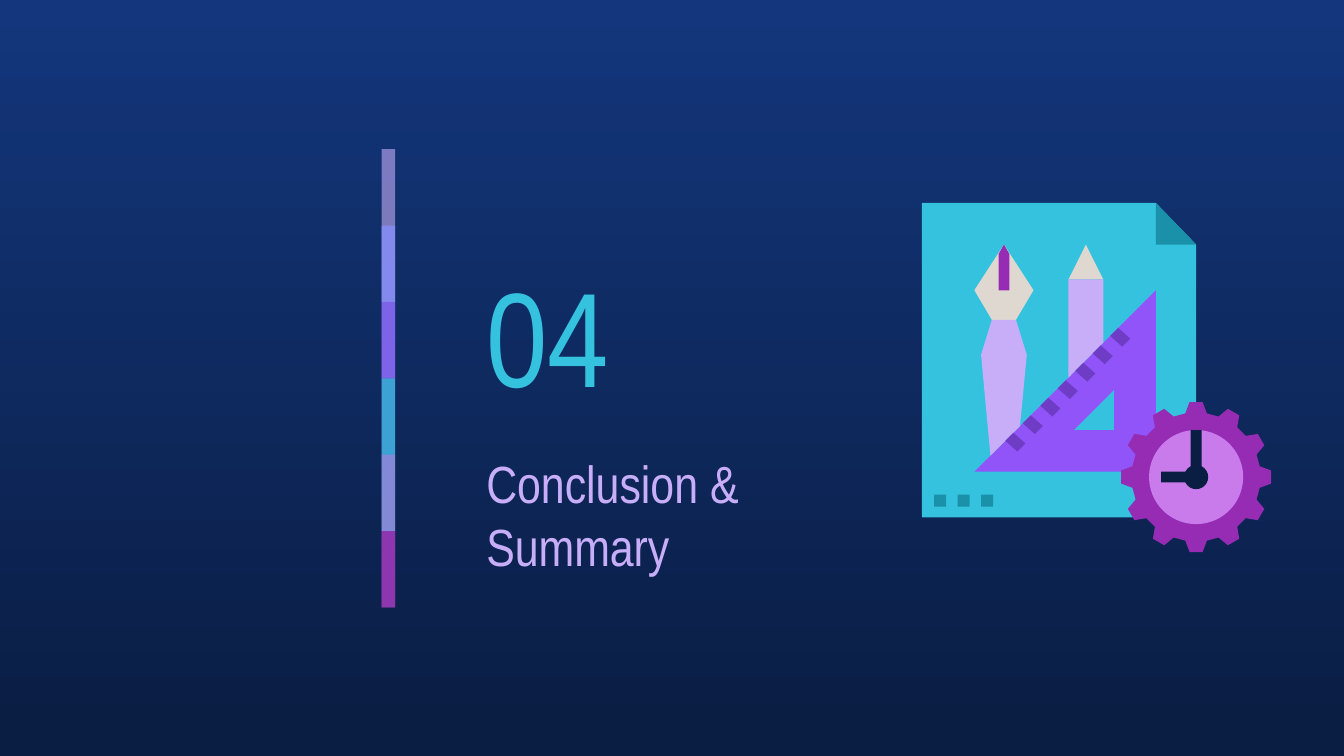
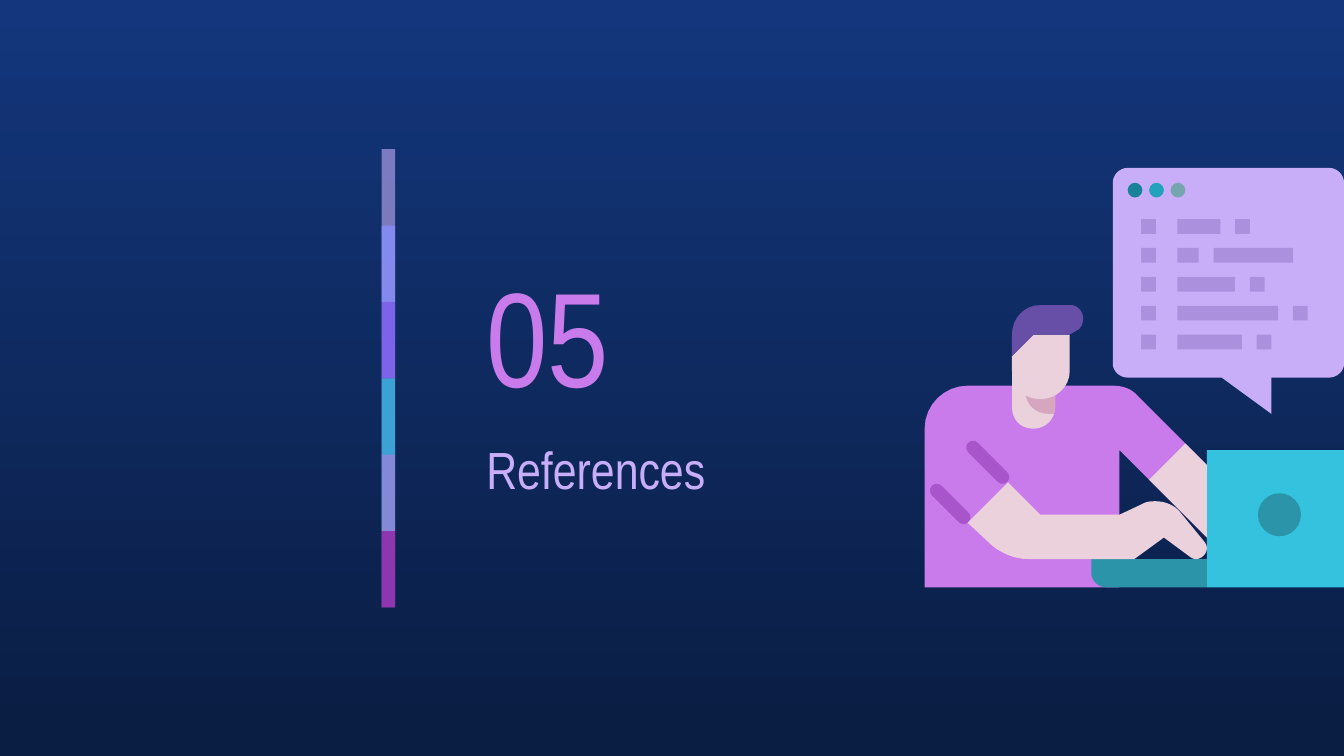
from collections import namedtuple
from math import cos, radians, sin

from lxml import etree
from pptx import Presentation
from pptx import util as u
from pptx.dml.color import RGBColor
from pptx.enum import shapes, text
from pptx.oxml import ns

NAVY_TOP = RGBColor(0x13, 0x36, 0x7C)
NAVY = RGBColor(0x0A, 0x1D, 0x42)
LILAC = RGBColor(0xC8, 0xAE, 0xF8)
PERIWINKLE = RGBColor(0x87, 0x8F, 0xFF)
VIOLET = RGBColor(0x91, 0x54, 0xF8)
CYAN = RGBColor(0x35, 0xC2, 0xDF)
ORCHID = RGBColor(0xCA, 0x7B, 0xEB)
PURPLE = RGBColor(0x97, 0x2C, 0xB4)
DARK_CYAN = RGBColor(0x1B, 0x91, 0xA9)
BONE = RGBColor(0xDE, 0xD8, 0xD0)
INDIGO = RGBColor(0x6F, 0x3C, 0xC6)
CREASE = RGBColor(0xA8, 0x55, 0xCB)
TEAL = RGBColor(0x2B, 0x94, 0xA9)
SKIN = RGBColor(0xEA, 0xD1, 0xDC)
SKIN_SHADE = RGBColor(0xD5, 0xA6, 0xBD)
CODE = RGBColor(0xAB, 0x90, 0xDE)
HAIR = RGBColor(0x67, 0x4E, 0xA7)
BUTTONS = (RGBColor(0x19, 0x82, 0x98), RGBColor(0x22, 0xA2, 0xBC),
           RGBColor(0x76, 0xA5, 0xAF))

FONT = "Arial Narrow"
RECTANGLE = shapes.MSO_SHAPE.RECTANGLE
OVAL = shapes.MSO_SHAPE.OVAL
CURVE_STEPS = 8

Box = namedtuple("Box", "left top width height")
STRIPE_BOX = Box(2.84, 1.11, 0.1, 3.41)
NUMBER_BOX = Box(3.52, 1.81, 1.75, 1.35)
TOOLS_BOX = Box(6.86, 1.51, 2.6, 2.6)
CODER_BOX = Box(6.88, 1.25, 3.12, 3.12)

# Stripe segments from top to bottom: colour and opacity in percent
STRIPE = ((LILAC, 59), (PERIWINKLE, 74), (VIOLET, 53),
          (CYAN, 76), (ORCHID, 56), (PURPLE, 74))


def paint(shape, color, opacity=100):
    shape.shadow.inherit = False
    shape.line.fill.background()
    shape.fill.solid()
    shape.fill.fore_color.rgb = color
    if opacity < 100:
        value = shape.fill._xPr.find(".//" + ns.qn("a:srgbClr"))
        etree.SubElement(value, ns.qn("a:alpha")).set("val", str(opacity * 1000))


def flatten(steps):
    """Turn points (x, y) and cubic curves (x1, y1, x2, y2, x, y) into points."""
    points = []
    for step in steps:
        if len(step) == 2:
            points.append(step)
            continue
        ax, ay = points[-1]
        bx, by, cx, cy, dx, dy = step
        for index in range(1, CURVE_STEPS + 1):
            t = index / CURVE_STEPS
            s = 1 - t
            weights = (s ** 3, 3 * s * s * t, 3 * s * t * t, t ** 3)
            points.append(tuple(sum(w * v for w, v in zip(weights, values))
                                for values in ((ax, bx, cx, dx), (ay, by, cy, dy))))
    return points


class Drawing:
    """A group whose parts are placed relative to a box."""

    def __init__(self, page, box):
        self.box = box
        self.shapes = page.shapes.add_group_shape().shapes

    def preset(self, kind, color, left, top, width, height, opacity=100):
        shape = self.shapes.add_shape(
            kind, u.Inches(self.box.left + left), u.Inches(self.box.top + top),
            u.Inches(width), u.Inches(height))
        paint(shape, color, opacity)

    def disc(self, color, x, y, radius):
        self.preset(OVAL, color, x - radius, y - radius, 2 * radius, 2 * radius)

    def outline(self, color, *contours):
        builder = None
        for contour in contours:
            first, *rest = [(u.Inches(self.box.left + x), u.Inches(self.box.top + y))
                            for x, y in flatten(contour)]
            if builder is None:
                builder = self.shapes.build_freeform(*first, scale=1.0)
            else:
                builder.move_to(*first)
            builder.add_line_segments(rest, close=True)
        paint(builder.convert_to_shape(), color)


def polar(x, y, radius, degrees):
    return x + radius * cos(radians(degrees)), y + radius * sin(radians(degrees))


def add_stripe(page, box):
    drawing = Drawing(page, box)
    pitch = box.height / len(STRIPE)
    for index, (color, opacity) in enumerate(STRIPE):
        # Each segment runs on beneath the next one; the last stops at the end
        height = min(2 * pitch, box.height - index * pitch)
        drawing.preset(RECTANGLE, color, 0, index * pitch, box.width, height, opacity)


def add_title(page, box, wording, size, color):
    title = page.shapes.add_textbox(*(u.Inches(length) for length in box))
    frame = title.text_frame
    frame.word_wrap = True
    frame.vertical_anchor = text.MSO_ANCHOR.MIDDLE
    frame.margin_left = frame.margin_right = u.Inches(0.1)
    frame.margin_top = frame.margin_bottom = u.Inches(0.1)
    frame.text = wording
    font = frame.paragraphs[0].runs[0].font
    font.name = FONT
    font.size = u.Pt(size)
    font.color.rgb = color


def add_section(deck, number, number_color, heading, heading_height):
    page = deck.slides.add_slide(deck.slide_layouts[6])
    fill = page.background.fill
    fill.gradient()
    fill.gradient_angle = 270
    for stop, color in zip(fill.gradient_stops, (NAVY_TOP, NAVY)):
        stop.color.rgb = color
    add_stripe(page, STRIPE_BOX)
    add_title(page, NUMBER_BOX, number, 72, number_color)
    add_title(page, Box(3.52, 3.15, 2.87, heading_height), heading, 28, LILAC)
    return page


def draw_tools(page, box):
    drawing = Drawing(page, box)
    # Sheet with folded corner
    drawing.outline(CYAN, [(0, 0), (0, 2.34), (2.04, 2.34), (2.04, 0.31), (1.74, 0)])
    drawing.outline(DARK_CYAN, [(1.74, 0), (1.74, 0.31), (2.04, 0.31)])
    # Set square with its opening
    drawing.outline(VIOLET, [(1.43, 1.39), (1.43, 1.69), (1.13, 1.69)],
                    [(1.74, 0.65), (0.39, 2), (1.74, 2)])
    # Gear
    center = 2.04, 2.04
    profile = ((0.48, -9.6), (0.56, -5), (0.56, 5), (0.48, 9.6))
    drawing.outline(PURPLE, [polar(*center, radius, 30 * tooth + turn)
                             for tooth in range(12) for radius, turn in profile])
    # Pencil
    drawing.outline(BONE, [(1.22, 0.31), (1.09, 0.57), (1.35, 0.57)])
    drawing.outline(LILAC, [(1.09, 0.57), (1.09, 1.3), (1.35, 1.04), (1.35, 0.57)])
    # Pen
    drawing.outline(BONE, [(0.61, 0.31), (0.39, 0.65), (0.52, 0.87),
                           (0.7, 0.87), (0.83, 0.65)])
    drawing.outline(LILAC, [(0.52, 0.87), (0.44, 1.13), (0.51, 1.88),
                            (0.73, 1.66), (0.78, 1.13), (0.7, 0.87)])
    # Clock face and hands
    drawing.disc(ORCHID, *center, 0.35)
    drawing.outline(NAVY, [(2, 1.69), (2, 2), (1.78, 2), (1.78, 2.08),
                           (2.08, 2.08), (2.08, 1.69)])
    drawing.disc(NAVY, *center, 0.09)
    # Slot of the pen nib
    drawing.outline(PURPLE, [(0.61, 0.31), (0.57, 0.38), (0.57, 0.65),
                             (0.65, 0.65), (0.65, 0.38)])
    # Ruler ticks
    tick = (0.68, 1.71), (0.62, 1.77), (0.71, 1.85), (0.77, 1.79)
    for index in range(7):
        shift = 0.13 * index
        drawing.outline(INDIGO, [(x + shift, y - shift) for x, y in tick])
    # Dots at the foot of the sheet
    for index in range(3):
        drawing.preset(RECTANGLE, DARK_CYAN, 0.09 + 0.35 / 2 * index, 2.17, 0.09, 0.09)


def draw_crease(drawing, x, y, run):
    radius = 0.05
    drawing.outline(CREASE, [
        polar(x + shift, y + shift, radius, start + turn)
        for shift, start in ((0, 135), (run, 315)) for turn in range(0, 181, 20)])


def draw_coder(page, box):
    drawing = Drawing(page, box)
    # Shirt and sleeve creases
    drawing.outline(ORCHID, [
        (0.32, 1.62), (0.15, 1.62, 0, 1.76, 0, 1.94), (0, 3.12), (1.45, 3.12),
        (1.45, 2.1), (2.1, 2.75), (2.1, 2.21), (1.59, 1.7),
        (1.54, 1.64, 1.47, 1.62, 1.4, 1.62)])
    draw_crease(drawing, 0.09, 2.4, 0.2)
    draw_crease(drawing, 0.36, 2.08, 0.22)
    # Laptop
    drawing.preset(RECTANGLE, CYAN, 2.1, 2.1, 1.02, 1.02)
    drawing.outline(TEAL, [(1.24, 2.91), (1.24, 3.01),
                           (1.24, 3.07, 1.29, 3.12, 1.35, 3.12),
                           (2.1, 3.12), (2.1, 2.91)])
    # Neck and its shade
    drawing.outline(SKIN, [
        (0.65, 1.46), (0.65, 1.78), (0.65, 1.86, 0.7, 1.94, 0.81, 1.94),
        (0.9, 1.94, 0.97, 1.87, 0.97, 1.78), (0.97, 1.46)])
    drawing.outline(SKIN_SHADE, [
        (0.75, 1.46), (0.75, 1.67), (0.75, 1.76, 0.83, 1.83, 0.92, 1.83),
        (0.96, 1.83), (0.97, 1.81, 0.97, 1.8, 0.97, 1.78), (0.97, 1.46)])
    # Near arm with hand, far arm
    drawing.outline(SKIN, [
        (0.62, 2.34), (0.32, 2.64), (0.47, 2.78), (0.55, 2.86, 0.66, 2.91, 0.77, 2.91),
        (1.56, 2.91), (1.78, 2.75), (1.97, 2.89), (1.98, 2.9, 2, 2.91, 2.02, 2.91),
        (2.06, 2.91, 2.1, 2.87, 2.1, 2.83), (2.1, 2.81, 2.09, 2.79, 2.08, 2.78),
        (1.9, 2.56), (1.86, 2.51, 1.79, 2.48, 1.72, 2.48),
        (1.69, 2.48, 1.65, 2.48, 1.62, 2.5), (1.45, 2.58), (0.86, 2.58)])
    drawing.outline(SKIN, [(1.94, 2.05), (1.67, 2.32), (2.1, 2.75), (2.1, 2.21)])
    # Disc on the laptop lid
    drawing.disc(TEAL, 2.64, 2.58, 0.16)
    draw_code_bubble(drawing)
    # Head
    drawing.outline(SKIN, [
        (0.81, 1.24), (0.65, 1.4), (0.65, 1.51), (0.65, 1.63, 0.74, 1.72, 0.86, 1.72),
        (0.98, 1.72, 1.08, 1.63, 1.08, 1.51), (1.08, 1.24)])
    drawing.outline(HAIR, [
        (0.86, 1.02), (0.74, 1.02, 0.65, 1.12, 0.65, 1.24), (0.65, 1.4), (0.81, 1.24),
        (1.08, 1.24), (1.13, 1.21), (1.16, 1.2, 1.18, 1.16, 1.18, 1.12),
        (1.18, 1.07, 1.14, 1.02, 1.09, 1.02)])


def draw_code_bubble(drawing):
    drawing.outline(LILAC, [
        (1.51, 0), (1.45, 0, 1.4, 0.05, 1.4, 0.11), (1.4, 1.46),
        (1.4, 1.51, 1.45, 1.56, 1.51, 1.56), (2.21, 1.56), (2.58, 1.83), (2.58, 1.56),
        (3.01, 1.56), (3.07, 1.56, 3.12, 1.51, 3.12, 1.46), (3.12, 0.11),
        (3.12, 0.05, 3.07, 0, 3.01, 0)])
    # Code lines: a marker, then two bars with a gap as wide as the marker
    unit = 0.11
    bars = ((0.32, unit), (0.16, 0.59), (0.43, unit), (0.75, unit), (0.48, unit))
    for row, (first, second) in enumerate(bars):
        top = 0.38 + 0.86 / 4 * row
        for left, width in ((1.61, unit), (1.88, first), (1.88 + first + unit, second)):
            drawing.preset(RECTANGLE, CODE, left, top, width, unit)
    # Window buttons
    for index, color in enumerate(BUTTONS):
        drawing.preset(OVAL, color, 1.51 + 0.16 * index, unit, unit, unit)


def main():
    deck = Presentation()
    deck.slide_width = u.Inches(10)
    deck.slide_height = u.Inches(10 * 9 / 16)
    draw_tools(add_section(deck, "04", CYAN, "Conclusion & Summary", 1.35), TOOLS_BOX)
    draw_coder(add_section(deck, "05", ORCHID, "References", 0.67), CODER_BOX)
    deck.save("out.pptx")


if __name__ == "__main__":
    main()
